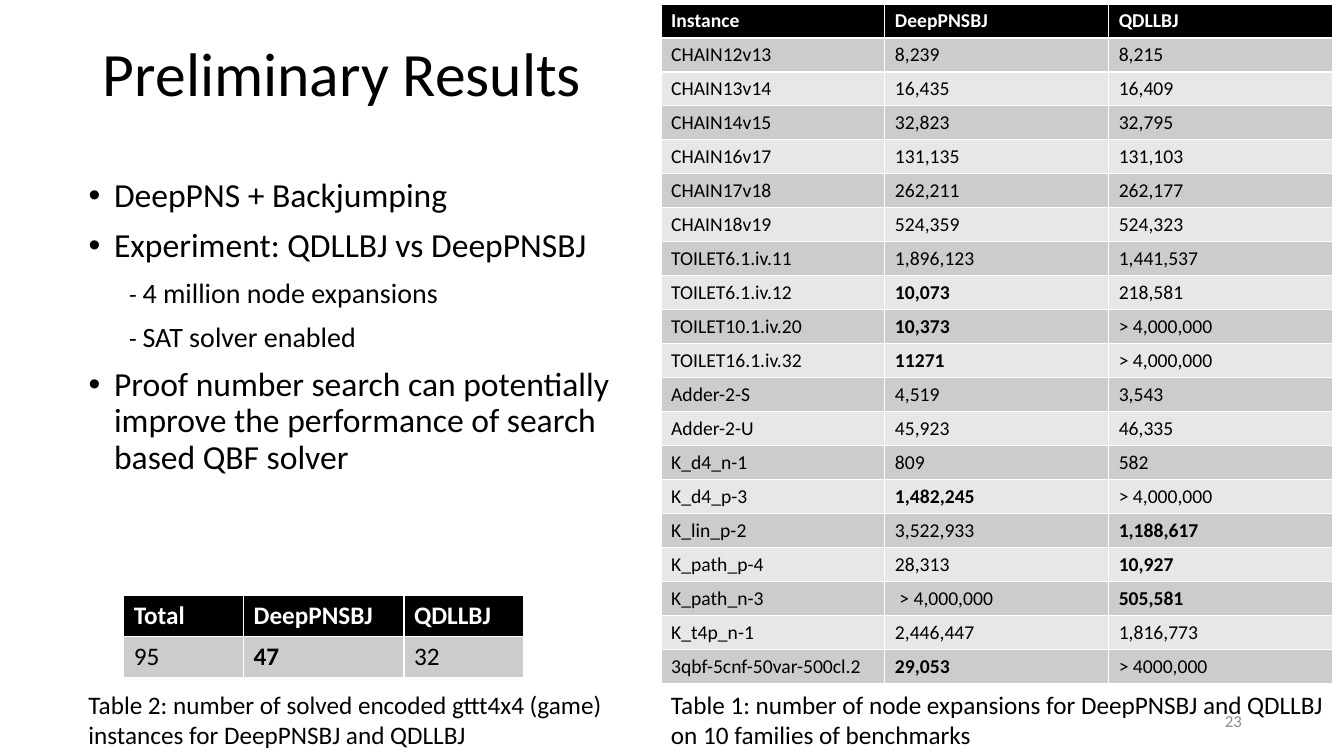
from lxml import etree
from pptx import Presentation
from pptx import util as u
from pptx.dml.color import RGBColor
from pptx.enum import text
from pptx.oxml.ns import qn

BLACK = RGBColor(0x00, 0x00, 0x00)
WHITE = RGBColor(0xFF, 0xFF, 0xFF)
GRAY = RGBColor(0x8C, 0x8C, 0x8C)
BANDS = (RGBColor(0xCC, 0xCC, 0xCC), RGBColor(0xE7, 0xE7, 0xE7))
FONT = "Calibri"

TITLE = "Preliminary Results"
POINTS = [
    ("bullet", "DeepPNS + Backjumping"),
    ("bullet", "Experiment: QDLLBJ vs DeepPNSBJ"),
    ("dash", "4 million node expansions"),
    ("dash", "SAT solver enabled"),
    ("bullet", "Proof number search can potentially improve the performance of search based QBF solver"),
]
EXPANSIONS = [
    ("Instance", "DeepPNSBJ", "QDLLBJ"),
    ("CHAIN12v13", "8,239", "8,215"),
    ("CHAIN13v14", "16,435", "16,409"),
    ("CHAIN14v15", "32,823", "32,795"),
    ("CHAIN16v17", "131,135", "131,103"),
    ("CHAIN17v18", "262,211", "262,177"),
    ("CHAIN18v19", "524,359", "524,323"),
    ("TOILET6.1.iv.11", "1,896,123", "1,441,537"),
    ("TOILET6.1.iv.12", "10,073", "218,581"),
    ("TOILET10.1.iv.20", "10,373", "> 4,000,000"),
    ("TOILET16.1.iv.32", "11271", "> 4,000,000"),
    ("Adder-2-S", "4,519", "3,543"),
    ("Adder-2-U", "45,923", "46,335"),
    ("K_d4_n-1", "809", "582"),
    ("K_d4_p-3", "1,482,245", "> 4,000,000"),
    ("K_lin_p-2", "3,522,933", "1,188,617"),
    ("K_path_p-4", "28,313", "10,927"),
    ("K_path_n-3", " > 4,000,000", "505,581"),
    ("K_t4p_n-1", "2,446,447", "1,816,773"),
    ("3qbf-5cnf-50var-500cl.2", "29,053", "> 4000,000"),
]
SOLVED = [("Total", "DeepPNSBJ", "QDLLBJ"), ("95", "47", "32")]
BEST = {"10,073", "10,373", "11271", "1,482,245", "1,188,617", "10,927", "505,581", "29,053", "47"}
TABLES = [
    (EXPANSIONS, 16.66, 0.1, (5.64, 5.64, 5.64), 0.85, 14),
    (SOLVED, 3.12, 15.01, (3.02, 4.04, 3.02), 1.03, 18),
]
CAPTIONS = [
    ("Table 1: number of node expansions for DeepPNSBJ and QDLLBJ on 10 families of benchmarks", 16.66, 17.2),
    ("Table 2: number of solved encoded gttt4x4 (game) instances for DeepPNSBJ and QDLLBJ", 1.98, 14.02),
]
INDENTS = {"bullet": (0.64, -0.64), "dash": (1.02, 0)}


def place(shape, left, top, width, height):
    shape.left, shape.top = u.Cm(left), u.Cm(top)
    shape.width, shape.height = u.Cm(width), u.Cm(height)


def format_runs(paragraph, size, color=BLACK, bold=False):
    for run in paragraph.runs:
        run.font.name = FONT
        run.font.size = u.Pt(size)
        run.font.color.rgb = color
        run.font.bold = bold


def add_text(slide, words, box, size, color=BLACK):
    shape = slide.shapes.add_textbox(*map(u.Cm, box))
    shape.text_frame.word_wrap = True
    shape.text_frame.text = words
    format_runs(shape.text_frame.paragraphs[0], size, color)
    return shape


def fill_point(paragraph, kind, words):
    if kind == "bullet":
        paragraph.text = words
        format_runs(paragraph, 24)
    else:
        for part, size in (("- ", 18), (words, 20)):
            paragraph.add_run().text = part
            format_runs(paragraph, size)
        paragraph.runs[0].font.size = u.Pt(18)
    paragraph.line_spacing = 0.9
    paragraph.space_before = u.Pt(10)
    margin, indent = INDENTS[kind]
    properties = paragraph._p.get_or_add_pPr()
    properties.set("marL", str(u.Cm(margin)))
    properties.set("indent", str(u.Cm(indent)))
    if kind == "bullet":
        etree.SubElement(properties, qn("a:buFont")).set("typeface", "Arial")
        etree.SubElement(properties, qn("a:buChar")).set("char", "•")
    else:
        etree.SubElement(properties, qn("a:buNone"))


def add_results(slide, rows, left, top, widths, row_height, size):
    frame = slide.shapes.add_table(
        len(rows), len(widths), u.Cm(left), u.Cm(top), u.Cm(sum(widths)), u.Cm(row_height * len(rows)))
    table = frame.table
    for column, width in zip(table.columns, widths):
        column.width = u.Cm(width)
    for index, (row, values) in enumerate(zip(table.rows, rows)):
        row.height = u.Cm(row_height)
        header = index == 0
        for cell, value in zip(row.cells, values):
            cell.text = value
            cell.fill.solid()
            cell.fill.fore_color.rgb = BLACK if header else BANDS[(index - 1) % 2]
            format_runs(cell.text_frame.paragraphs[0], size,
                        WHITE if header else BLACK, header or value in BEST)


presentation = Presentation()
presentation.slide_width = u.Cm(33.87)
presentation.slide_height = u.Cm(19.05)
slide = presentation.slides.add_slide(presentation.slide_layouts[1])

title, body = slide.placeholders
place(title, 2.34, 0.08, 29.21, 3.68)
title.text_frame.text = TITLE
title.text_frame.vertical_anchor = text.MSO_ANCHOR.MIDDLE
heading = title.text_frame.paragraphs[0]
heading.alignment = text.PP_ALIGN.LEFT
heading.line_spacing = 0.9
format_runs(heading, 44)

place(body, 1.98, 4.37, 15.37, 11.66)
body.text_frame.auto_size = text.MSO_AUTO_SIZE.NONE
for index, (kind, words) in enumerate(POINTS):
    paragraph = body.text_frame.add_paragraph() if index else body.text_frame.paragraphs[0]
    fill_point(paragraph, kind, words)

for results in TABLES:
    add_results(slide, *results)
for words, left, width in CAPTIONS:
    add_text(slide, words, (left, 17.25, width, 1.8), 18)

number = add_text(slide, "23", (23.93, 17.65, 7.62, 1.02), 12, GRAY)
number.text_frame.vertical_anchor = text.MSO_ANCHOR.MIDDLE
number.text_frame.paragraphs[0].alignment = text.PP_ALIGN.RIGHT

presentation.save("out.pptx")
